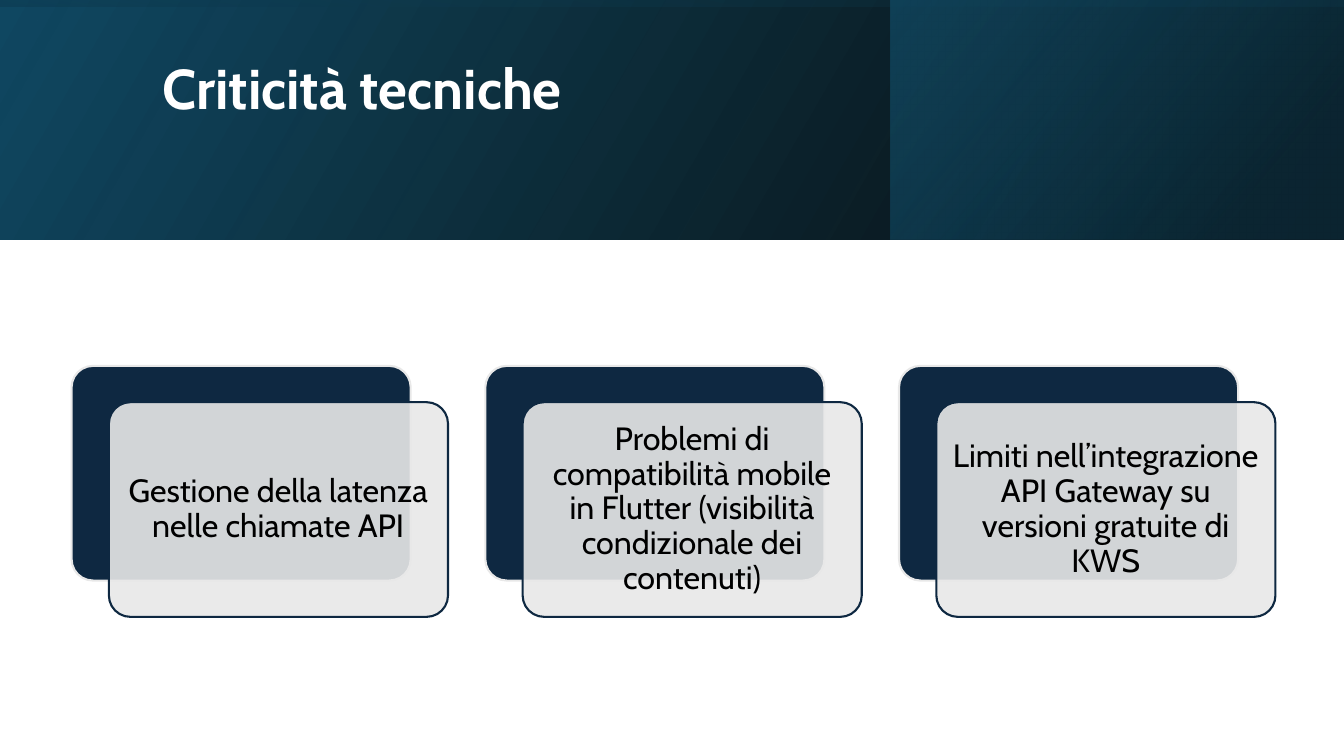
from dataclasses import dataclass

from lxml import etree
from pptx import Presentation
from pptx.dml.color import RGBColor
from pptx.enum.shapes import MSO_SHAPE
from pptx.enum.text import MSO_ANCHOR, PP_ALIGN
from pptx.oxml.ns import qn
from pptx.util import Inches, Pt

RECTANGLE = MSO_SHAPE.RECTANGLE
ROUNDED = MSO_SHAPE.ROUNDED_RECTANGLE
MIDDLE = MSO_ANCHOR.MIDDLE
CENTER = PP_ALIGN.CENTER
LEFT = PP_ALIGN.LEFT


@dataclass(frozen=True)
class Theme:
    font: str = "Cabin"
    title_size: float = 40
    card_size: float = 23
    line_width: float = 1.5
    white: str = "FFFFFF"
    black: str = "000000"
    navy: str = "0E2841"
    pale: str = "E8E8E8"
    teal: str = "104862"
    deep_teal: str = "0B3041"
    bright_teal: str = "156082"


THEME = Theme()
SLIDE_WIDTH, SLIDE_HEIGHT = 13.33, 7.5
BANNER_HEIGHT = 2.375
CARD_TEXTS = [
    "Gestione della latenza nelle chiamate API",
    "Problemi di compatibilità mobile in Flutter (visibilità condizionale dei contenuti)",
    "Limiti nell’integrazione API Gateway su versioni gratuite di KWS",
]


def color(value):
    return RGBColor.from_string(value)


def set_opacity(shape, percents):
    fills = shape._element.spPr.iter(qn("a:srgbClr"))
    for element, percent in zip(fills, percents):
        etree.SubElement(element, qn("a:alpha")).set("val", str(percent * 1000))


def add_box(slide, kind, left, top, width, height):
    shape = slide.shapes.add_shape(
        kind, Inches(left), Inches(top), Inches(width), Inches(height)
    )
    shape.shadow.inherit = False
    return shape


def write_text(shape, text, size, text_color, alignment, bold=False):
    frame = shape.text_frame
    frame.word_wrap = True
    frame.vertical_anchor = MIDDLE
    frame.text = text
    paragraph = frame.paragraphs[0]
    paragraph.alignment = alignment
    paragraph.line_spacing = 0.9
    font = paragraph.runs[0].font
    font.name = THEME.font
    font.size = Pt(size)
    font.bold = bold
    font.color.rgb = color(text_color)


def add_gradient_panel(slide, left, top, width, height, angle, stops, rotation=0):
    panel = add_box(slide, RECTANGLE, left, top, width, height)
    panel.rotation = rotation
    panel._element.spPr.find(qn("a:xfrm")).set("flipH", "1")
    panel.line.fill.background()
    panel.fill.gradient()
    panel.fill.gradient_angle = angle
    for gradient_stop, (position, value, _) in zip(panel.fill.gradient_stops, stops):
        gradient_stop.position = position
        gradient_stop.color.rgb = color(value)
    set_opacity(panel, [opacity for _, _, opacity in stops])


def add_banner(slide, left, top, width, height):
    add_gradient_panel(
        slide, left, top, width, height, 30,
        [(0, THEME.black, 96), (1, THEME.teal, 100)],
    )
    side_width = 4.5
    add_gradient_panel(
        slide, left + width - side_width, top, side_width, height, 40,
        [(0.19, THEME.deep_teal, 68), (1, THEME.bright_teal, 48)],
    )
    turn = (width - height) / 2
    add_gradient_panel(
        slide, left + turn, top - turn, height, width, 10,
        [(0.23, THEME.teal, 16), (0.99, THEME.black, 45)], rotation=270,
    )
    title = slide.shapes.add_textbox(
        Inches(left + 1.51), Inches(top + 0.38), Inches(10.63), Inches(1.72)
    )
    write_text(title, "Criticità tecniche", THEME.title_size, THEME.white, LEFT, True)
    title.text_frame.margin_bottom = Inches(0.71)


def add_card_layer(slide, left, top, width, height, fill, line):
    layer = add_box(slide, ROUNDED, left, top, width, height)
    layer.adjustments[0] = 0.1
    layer.fill.solid()
    layer.fill.fore_color.rgb = color(fill)
    layer.line.color.rgb = color(line)
    layer.line.width = Pt(THEME.line_width)
    return layer


def add_card(slide, left, top, width, height, text):
    shift_x, shift_y = 0.37, 0.36
    size = width - shift_x, height - shift_y
    add_card_layer(slide, left, top, *size, THEME.navy, THEME.pale)
    front = add_card_layer(
        slide, left + shift_x, top + shift_y, *size, THEME.pale, THEME.navy
    )
    set_opacity(front, [90])
    write_text(front, text, THEME.card_size, THEME.black, CENTER)
    frame = front.text_frame
    frame.margin_left = frame.margin_right = Inches(0.09)
    frame.margin_top = frame.margin_bottom = Inches(0.09)


def add_cards(slide, left, top, width, height):
    gap = 0.37
    card_width = (width - gap * (len(CARD_TEXTS) - 1)) / len(CARD_TEXTS)
    for index, text in enumerate(CARD_TEXTS):
        card_left = left + index * (card_width + gap)
        add_card(slide, card_left, top, card_width, height, text)


def main():
    presentation = Presentation()
    presentation.slide_width = Inches(SLIDE_WIDTH)
    presentation.slide_height = Inches(SLIDE_HEIGHT)
    slide = presentation.slides.add_slide(presentation.slide_layouts[6])
    slide.background.fill.solid()
    slide.background.fill.fore_color.rgb = color(THEME.white)
    add_banner(slide, 0, 0, SLIDE_WIDTH, BANNER_HEIGHT)
    add_cards(slide, 0.71, 3.63, 11.94, 2.49)
    presentation.save("out.pptx")


if __name__ == "__main__":
    main()
